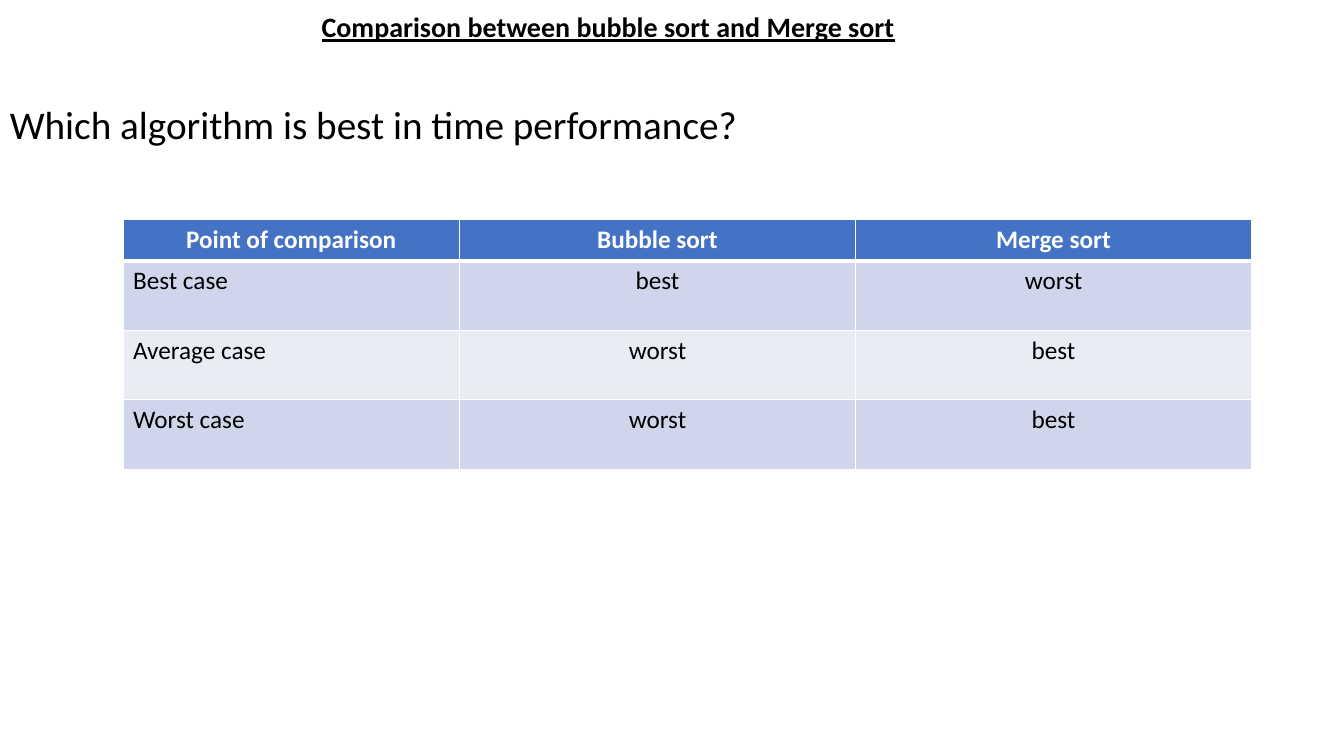
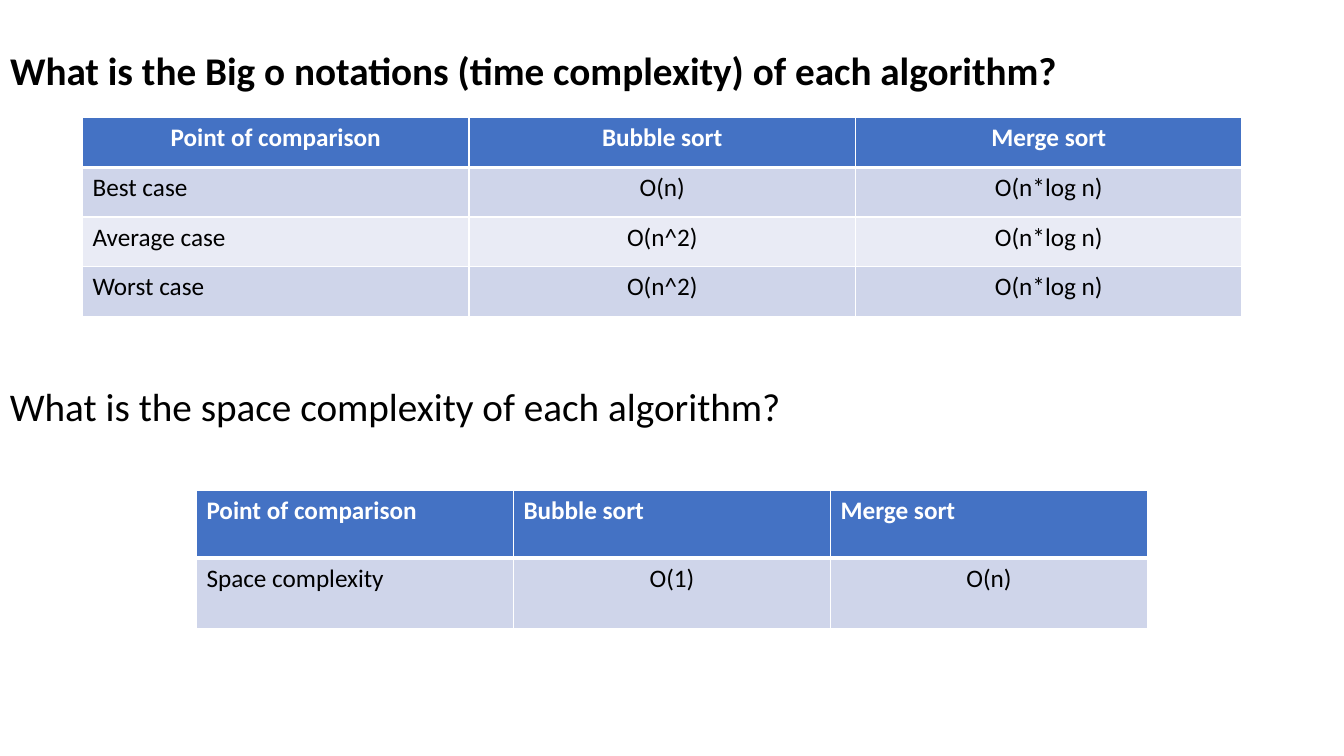
from dataclasses import dataclass

import lxml.etree
import pptx
import pptx.dml.color
import pptx.enum.text
import pptx.oxml.ns
import pptx.presentation
import pptx.slide
import pptx.table
import pptx.text.text
import pptx.util

Cm = pptx.util.Cm
Pt = pptx.util.Pt
RGBColor = pptx.dml.color.RGBColor
Align = pptx.enum.text.PP_ALIGN
Anchor = pptx.enum.text.MSO_ANCHOR

BLACK = RGBColor(0x00, 0x00, 0x00)
WHITE = RGBColor(0xFF, 0xFF, 0xFF)
HEADER_BLUE = RGBColor(0x44, 0x72, 0xC4)
BANDS = (RGBColor(0xCF, 0xD5, 0xEA), RGBColor(0xE9, 0xEB, 0xF5))
FONT = "Calibri"
QUESTION_SIZE = 28
TABLE_SIZE = 18
HEADERS = ("Point of comparison", "Bubble sort", "Merge sort")


@dataclass(frozen=True)
class Area:
    """A rectangle in centimetres."""

    left: float
    top: float
    width: float
    height: float

    def lengths(self) -> tuple[Cm, Cm, Cm, Cm]:
        return Cm(self.left), Cm(self.top), Cm(self.width), Cm(self.height)


@dataclass(frozen=True)
class Comparison:
    """A table with its place, column widths and row heights in centimetres."""

    left: float
    top: float
    column_widths: tuple[float, ...]
    row_heights: tuple[float, ...]
    rows: tuple[tuple[str, ...], ...]
    header_align: Align = Align.CENTER


RATINGS = Comparison(
    3.1, 5.54, (8.48, 9.98, 9.98), (1.03, 1.75, 1.75, 1.77),
    (
        ("Best case", "best", "worst"),
        ("Average case", "worst", "best"),
        ("Worst case", "worst", "best"),
    ),
)
TIME_COMPLEXITY = Comparison(
    2.08, 2.97, (9.74,) * 3, (1.25,) * 4,
    (
        ("Best case", "O(n)", "O(n*log n)"),
        ("Average case", "O(n^2)", "O(n*log n)"),
        ("Worst case", "O(n^2)", "O(n*log n)"),
    ),
)
SPACE_COMPLEXITY = Comparison(
    4.95, 12.37, (7.99,) * 3, (1.69, 1.79),
    (("Space complexity", "O(1)", "O(n)"),),
    header_align=Align.LEFT,
)


def write_text(
    frame: pptx.text.text.TextFrame,
    text: str,
    *,
    size: float,
    color: RGBColor = BLACK,
    bold: bool = False,
    underline: bool = False,
    align: Align = Align.LEFT,
    line_spacing: float = 1.0,
) -> None:
    para = frame.paragraphs[0]
    para.alignment = align
    para.line_spacing = line_spacing
    span = para.add_run()
    span.text = text
    font = span.font
    font.name = FONT
    font.size = Pt(size)
    font.color.rgb = color
    font.bold = bold
    font.underline = underline


def add_titled_slide(
    deck: pptx.presentation.Presentation,
    text: str,
    area: Area,
    *,
    size: float,
    underline: bool = False,
) -> pptx.slide.Slide:
    slide = deck.slides.add_slide(deck.slide_layouts.get_by_name("Title Only"))
    title = slide.shapes.title
    title.left, title.top, title.width, title.height = area.lengths()
    frame = title.text_frame
    frame.auto_size = pptx.enum.text.MSO_AUTO_SIZE.NONE
    frame.vertical_anchor = Anchor.MIDDLE
    write_text(frame, text, size=size, bold=True, underline=underline, line_spacing=0.9)
    return slide


def add_question(
    slide: pptx.slide.Slide, text: str, area: Area, line_spacing: float = 1.0
) -> None:
    frame = slide.shapes.add_textbox(*area.lengths()).text_frame
    frame.word_wrap = True
    write_text(frame, text, size=QUESTION_SIZE, line_spacing=line_spacing)


def set_borders(cell: pptx.table._Cell, top: float, bottom: float) -> None:
    """Draw white borders; call before filling, as the schema puts lines first."""
    properties = cell._tc.get_or_add_tcPr()
    qn = pptx.oxml.ns.qn
    for side, width in (("L", 1), ("R", 1), ("T", top), ("B", bottom)):
        line = lxml.etree.SubElement(properties, qn(f"a:ln{side}"), w=str(Pt(width)))
        fill = lxml.etree.SubElement(line, qn("a:solidFill"))
        lxml.etree.SubElement(fill, qn("a:srgbClr"), val=str(WHITE))


def add_comparison(slide: pptx.slide.Slide, comparison: Comparison) -> None:
    widths, heights = comparison.column_widths, comparison.row_heights
    area = Area(comparison.left, comparison.top, sum(widths), sum(heights))
    table = slide.shapes.add_table(len(heights), len(widths), *area.lengths()).table
    for column, width in zip(table.columns, widths):
        column.width = Cm(width)
    for row, height in zip(table.rows, heights):
        row.height = Cm(height)

    for row_index, texts in enumerate((HEADERS, *comparison.rows)):
        is_header = row_index == 0
        for column_index, text in enumerate(texts):
            cell = table.cell(row_index, column_index)
            set_borders(cell, top=3 if row_index == 1 else 1, bottom=3 if is_header else 1)
            cell.fill.solid()
            if is_header:
                cell.fill.fore_color.rgb = HEADER_BLUE
                align = comparison.header_align
            else:
                cell.fill.fore_color.rgb = BANDS[(row_index - 1) % len(BANDS)]
                align = Align.LEFT if column_index == 0 else Align.CENTER
            write_text(
                cell.text_frame,
                text,
                size=TABLE_SIZE,
                color=WHITE if is_header else BLACK,
                bold=is_header,
                align=align,
            )


def main() -> None:
    deck = pptx.Presentation()
    deck.slide_width, deck.slide_height = Cm(33.87), Cm(19.05)

    performance = add_titled_slide(
        deck,
        "Comparison between bubble sort and Merge sort",
        Area(7.85, -1.12, 29.21, 3.68),
        size=20,
        underline=True,
    )
    add_question(
        performance,
        "Which algorithm is best in time performance?",
        Area(0, 2.54, 18.95, 1.9),
        line_spacing=0.9,
    )
    add_comparison(performance, RATINGS)

    complexity = add_titled_slide(
        deck,
        "What is the Big o notations (time complexity) of each algorithm?",
        Area(0, 0, 29.21, 3.68),
        size=QUESTION_SIZE,
    )
    add_comparison(complexity, TIME_COMPLEXITY)
    add_question(
        complexity,
        "What is the space complexity of each algorithm?",
        Area(0, 9.5, 21.64, 1.45),
    )
    add_comparison(complexity, SPACE_COMPLEXITY)

    deck.save("out.pptx")


if __name__ == "__main__":
    main()
